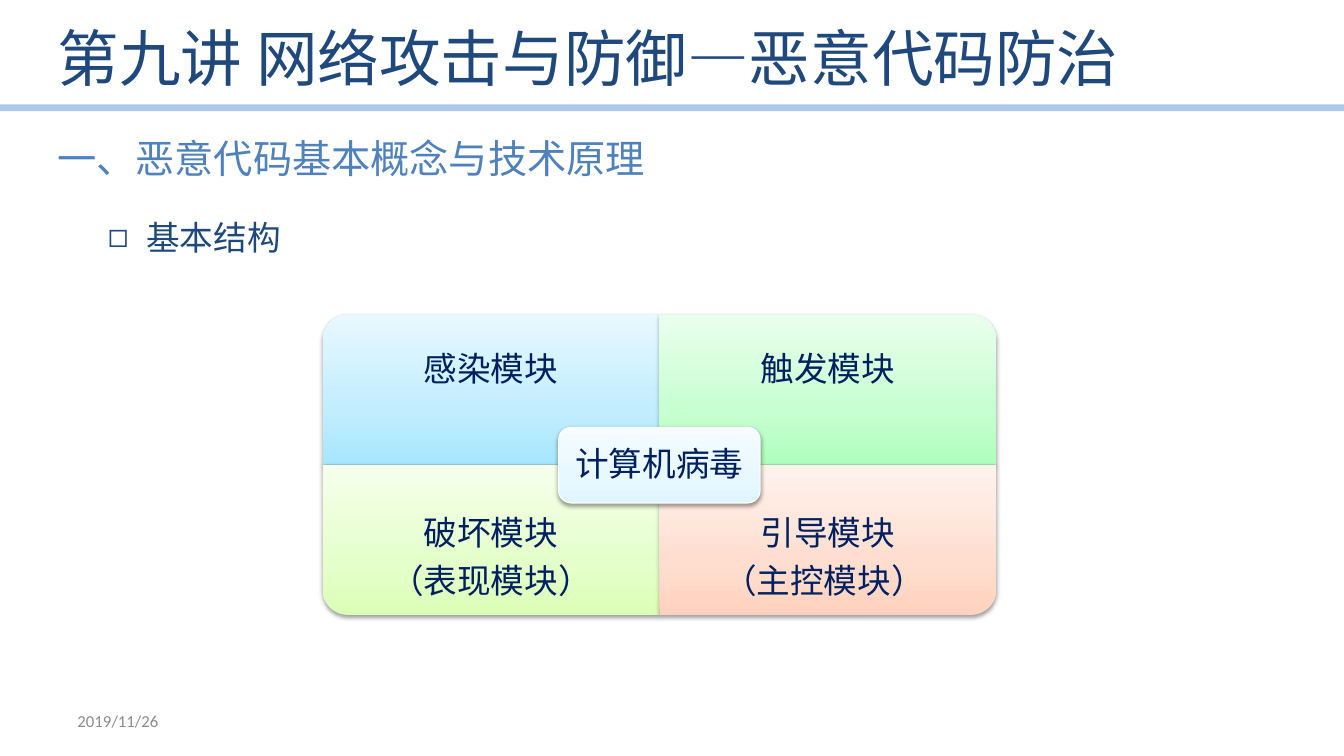
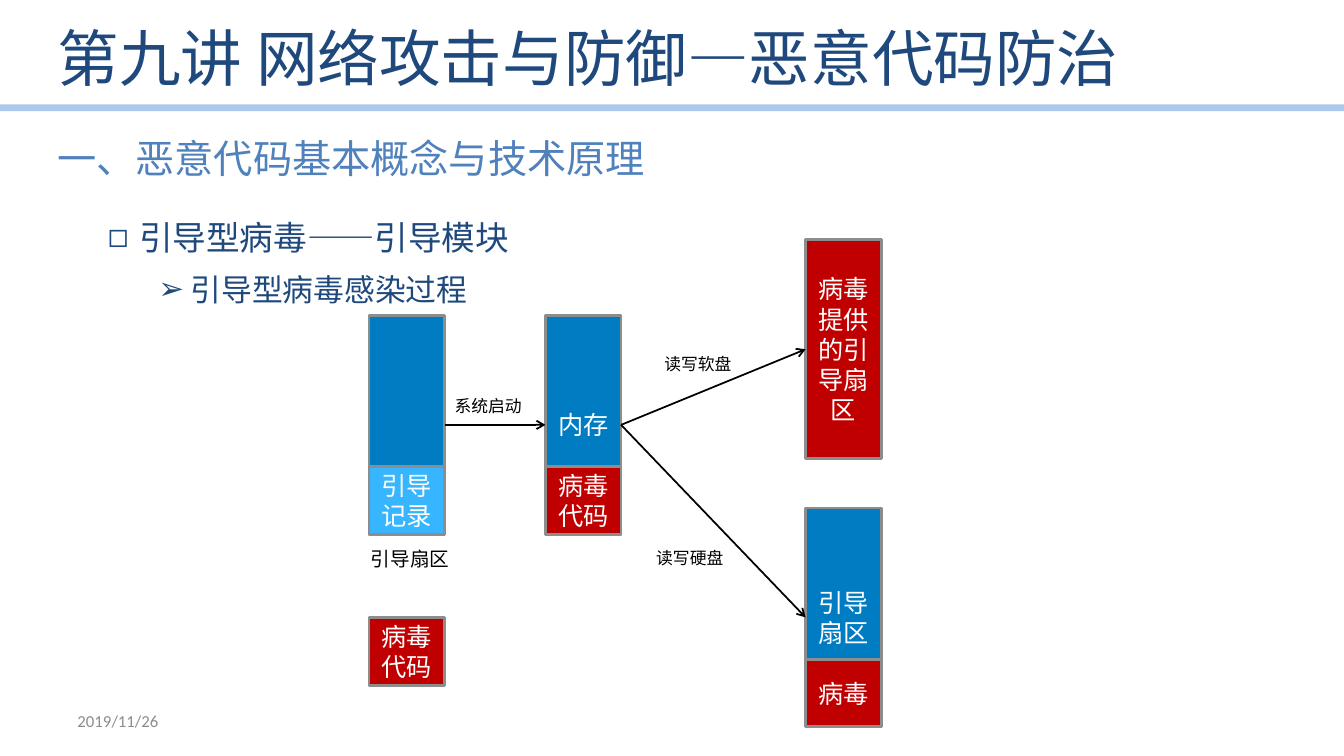
from lxml import etree
from pptx import Presentation
from pptx.dml.color import RGBColor
from pptx.enum.shapes import MSO_CONNECTOR, MSO_SHAPE
from pptx.enum.text import MSO_ANCHOR, PP_ALIGN
from pptx.oxml import parse_xml
from pptx.oxml.ns import nsdecls, qn
from pptx.util import Inches, Pt

STRAIGHT = MSO_CONNECTOR.STRAIGHT
RECTANGLE = MSO_SHAPE.RECTANGLE
ROUNDED = MSO_SHAPE.ROUNDED_RECTANGLE
ONE_ROUND_CORNER = MSO_SHAPE.ROUND_1_RECTANGLE
MIDDLE = MSO_ANCHOR.MIDDLE
LEFT, CENTER, JUSTIFY = PP_ALIGN.LEFT, PP_ALIGN.CENTER, PP_ALIGN.JUSTIFY

NAVY = RGBColor(0x1F, 0x49, 0x7D)
DARK_BLUE = RGBColor(0x00, 0x20, 0x60)
HEADING_BLUE = RGBColor(0x4F, 0x81, 0xBD)
RULE_BLUE = RGBColor(0x8E, 0xB4, 0xE3)
BLUE = RGBColor(0x00, 0x7C, 0xC3)
LIGHT_BLUE = RGBColor(0x37, 0xB6, 0xFF)
RED = RGBColor(0xC0, 0x00, 0x00)
GRAY = RGBColor(0x8D, 0x8D, 0x8D)
DATE_GRAY = RGBColor(0x8C, 0x8C, 0x8C)
BLACK = RGBColor(0x00, 0x00, 0x00)
WHITE = RGBColor(0xFF, 0xFF, 0xFF)
CJK = "Noto Sans CJK SC"

TITLE = "第九讲 网络攻击与防御—恶意代码防治"
SECTION = "一、恶意代码基本概念与技术原理"
DATE = "2019/11/26"


def write(frame, lines, size, color, font=CJK, **paragraph_format):
    """Fill a text frame, one paragraph for each line."""
    for index, line in enumerate(lines):
        paragraph = frame.paragraphs[0] if index == 0 else frame.add_paragraph()
        for name, value in paragraph_format.items():
            setattr(paragraph, name, value)
        run = paragraph.add_run()
        run.text = line
        run.font.size = Pt(size)
        run.font.color.rgb = color
        run.font.name = font
        etree.SubElement(run.font._element, qn("a:ea"), typeface=font)


def add_text(slide, box, lines, size, color, wrap=True, anchor=None, **format_values):
    frame = slide.shapes.add_textbox(*map(Inches, box)).text_frame
    frame.word_wrap = wrap
    frame.vertical_anchor = anchor
    write(frame, lines, size, color, **format_values)


presentation = Presentation()
presentation.slide_width = Inches(13.33)
presentation.slide_height = Inches(7.5)
layout = presentation.slide_layouts[1]
PLACES = {0: (0.47, 0.08, 11.02, 0.97), 1: (0.47, 2.02, 12.28, 4.41)}
for placeholder in list(layout.placeholders):
    place = PLACES.get(placeholder.placeholder_format.idx)
    if place is None:
        layout.shapes.element.remove(placeholder.element)
        continue
    for name, value in zip(("left", "top", "width", "height"), place):
        setattr(placeholder, name, Inches(value))

# Bullets: text, level, bullet, left margin, size
OUTLINES = [
    [("基本结构", 1, "◻", 0.88, 24)],
    [("引导型病毒——引导模块", 1, "◻", 0.81, 24),
     ("引导型病毒感染过程", 2, "➢", 1.32, 22)],
]
slides = []
for outline in OUTLINES:
    slide = presentation.slides.add_slide(layout)
    slides.append(slide)
    write(slide.shapes.title.text_frame, [TITLE], 44, NAVY, alignment=LEFT)
    body = slide.placeholders[1].text_frame
    write(body, [item[0] for item in outline], 24, NAVY, alignment=JUSTIFY, line_spacing=1.2)
    body.paragraphs[0].space_before = Pt(0)
    for paragraph, (text, level, bullet, margin, size) in zip(body.paragraphs, outline):
        paragraph.level = level
        paragraph.runs[0].font.size = Pt(size)
        properties = paragraph._p.get_or_add_pPr()
        properties.set("marL", str(Inches(margin)))
        properties.set("indent", str(Inches(level * 0.5 - margin)))
        etree.SubElement(properties, qn("a:buChar"), char=bullet)
    add_text(slide, (0.67, 6.95, 3.11, 0.4), [DATE], 12, DATE_GRAY, anchor=MIDDLE, font="Calibri")
    add_text(slide, (0.47, 1.28, 6.09, 0.57), [SECTION], 28, HEADING_BLUE, wrap=False)
structure_slide, infection_slide = slides

# The rule under the title belongs to the layout
rule = structure_slide.shapes.add_connector(
    STRAIGHT, 0, Inches(1.07), presentation.slide_width, Inches(1.07))
rule.line.color.rgb = RULE_BLUE
rule.line.width = Pt(4.75)
rule_color = next(rule.element.iter(qn("a:srgbClr")))
etree.SubElement(rule_color, qn("a:alpha"), val="73000")
etree.SubElement(rule.element.spPr, qn("a:effectLst"))
layout.shapes.element.insert(2, rule.element)

# Slide 1: four modules around the virus
MATRIX_LEFT, MATRIX_TOP = 3.2, 3.12
CELL_WIDTH, CELL_HEIGHT, LABEL_HEIGHT = 3.34, 1.49, 1.12
# Column, row, rotation, gradient from bottom to top, lines
MODULES = [
    (0, 0, 270, ("A7E6FF", "C1EDFF", "E7F8FF"), ["感染模块"]),
    (1, 0, 0, ("AFFFBD", "C6FFD0", "E9FFED"), ["触发模块"]),
    (0, 1, 180, ("DBFFB6", "E5FFCB", "F5FFEB"), ["破坏模块", "（表现模块）"]),
    (1, 1, 90, ("FFD2BD", "FFDED0", "FFF2ED"), ["引导模块", "（主控模块） "]),
]
panels = []
for column, row, rotation, gradient, lines in MODULES:
    left = MATRIX_LEFT + column * CELL_WIDTH
    top = MATRIX_TOP + row * CELL_HEIGHT
    width, height = CELL_WIDTH, CELL_HEIGHT
    if rotation in (90, 270):
        width, height = height, width
    panel = structure_slide.shapes.add_shape(
        ONE_ROUND_CORNER,
        Inches(left + (CELL_WIDTH - width) / 2), Inches(top + (CELL_HEIGHT - height) / 2),
        Inches(width), Inches(height))
    panel.rotation = rotation
    panel.line.fill.background()
    panels.append((panel, gradient))
    label_top = top + row * (CELL_HEIGHT - LABEL_HEIGHT)
    add_text(structure_slide, (left, label_top, CELL_WIDTH, LABEL_HEIGHT), lines, 24, DARK_BLUE,
             anchor=MIDDLE, alignment=CENTER, line_spacing=0.9, space_after=Pt(8.4))

virus = structure_slide.shapes.add_shape(
    ROUNDED, Inches(5.54), Inches(4.24), Inches(2), Inches(0.75))
virus.line.color.rgb = WHITE
virus.line.width = Pt(0.75)
virus.text_frame.vertical_anchor = MIDDLE
write(virus.text_frame, ["计算机病毒"], 24, DARK_BLUE, alignment=CENTER, line_spacing=0.9)
panels.append((virus, ("DFF5FF", "E8F8FF", "F6FCFF")))

for panel, gradient in panels:
    panel.fill.background()
    stops = "".join(
        f'<a:gs pos="{position}"><a:srgbClr val="{color}"/></a:gs>'
        for position, color in zip((0, 35000, 100000), gradient))
    properties = panel.element.spPr
    properties.replace(properties.find(qn("a:noFill")), parse_xml(
        f'<a:gradFill {nsdecls("a")} rotWithShape="0"><a:gsLst>{stops}</a:gsLst>'
        '<a:lin ang="16200000" scaled="0"/></a:gradFill>'))
    panel.shadow.inherit = False
    properties.find(qn("a:effectLst")).append(parse_xml(
        f'<a:outerShdw {nsdecls("a")} blurRad="{Pt(3.1)}" dist="{Pt(1.6)}" dir="5400000" '
        'rotWithShape="0"><a:srgbClr val="000000"><a:alpha val="38000"/></a:srgbClr>'
        '</a:outerShdw>'))

# Slide 2: how a boot virus spreads
BLOCK_WIDTH, TALL, SHORT = 0.75, 2.17, 0.67
DISK_LEFT, MEMORY_LEFT, TARGET_LEFT = 3.66, 5.41, 7.99
# Key, left, top, height, fill, text
BLOCKS = [
    ("disk", DISK_LEFT, 3.13, TALL, BLUE, ""),
    ("boot record", DISK_LEFT, 4.63, SHORT, LIGHT_BLUE, "引导记录"),
    ("disk virus", DISK_LEFT, 6.13, SHORT, RED, "病毒代码"),
    ("memory", MEMORY_LEFT, 3.13, TALL, BLUE, "内存"),
    ("memory virus", MEMORY_LEFT, 4.63, SHORT, RED, "病毒代码"),
    ("floppy", TARGET_LEFT, 2.38, TALL, RED, "病毒提供的引导扇区"),
    ("hard disk", TARGET_LEFT, 5.04, TALL, BLUE, "引导扇区"),
    ("hard disk virus", TARGET_LEFT, 6.54, SHORT, RED, "病毒"),
]
blocks = {}
for key, left, top, height, fill, text in BLOCKS:
    block = infection_slide.shapes.add_shape(
        RECTANGLE, Inches(left), Inches(top), Inches(BLOCK_WIDTH), Inches(height))
    block.shadow.inherit = False
    block.fill.solid()
    block.fill.fore_color.rgb = fill
    block.line.color.rgb = GRAY
    block.line.width = Pt(2)
    if text:
        block.text_frame.vertical_anchor = MIDDLE
        write(block.text_frame, [text], 18, WHITE, alignment=CENTER)
    blocks[key] = block

for source, target in [("disk", "memory"), ("memory", "floppy"), ("memory", "hard disk")]:
    arrow = infection_slide.shapes.add_connector(STRAIGHT, 0, 0, 0, 0)
    arrow.begin_connect(blocks[source], 3)
    arrow.end_connect(blocks[target], 1)
    arrow.line.color.rgb = BLACK
    arrow.line.width = Pt(1.25)
    etree.SubElement(arrow.line._get_or_add_ln(), qn("a:tailEnd"), type="arrow")
    etree.SubElement(arrow.element.spPr, qn("a:effectLst"))

for text, left, top in [("系统启动", 4.41, 3.88), ("读写软盘", 6.49, 3.46), ("读写硬盘", 6.41, 5.38)]:
    add_text(infection_slide, (left, top, 0.88, 0.3), [text], 12, BLACK, wrap=False)
add_text(infection_slide, (3.58, 5.38, 1.05, 0.44), ["引导扇区"], 14, BLACK)

presentation.save("out.pptx")
